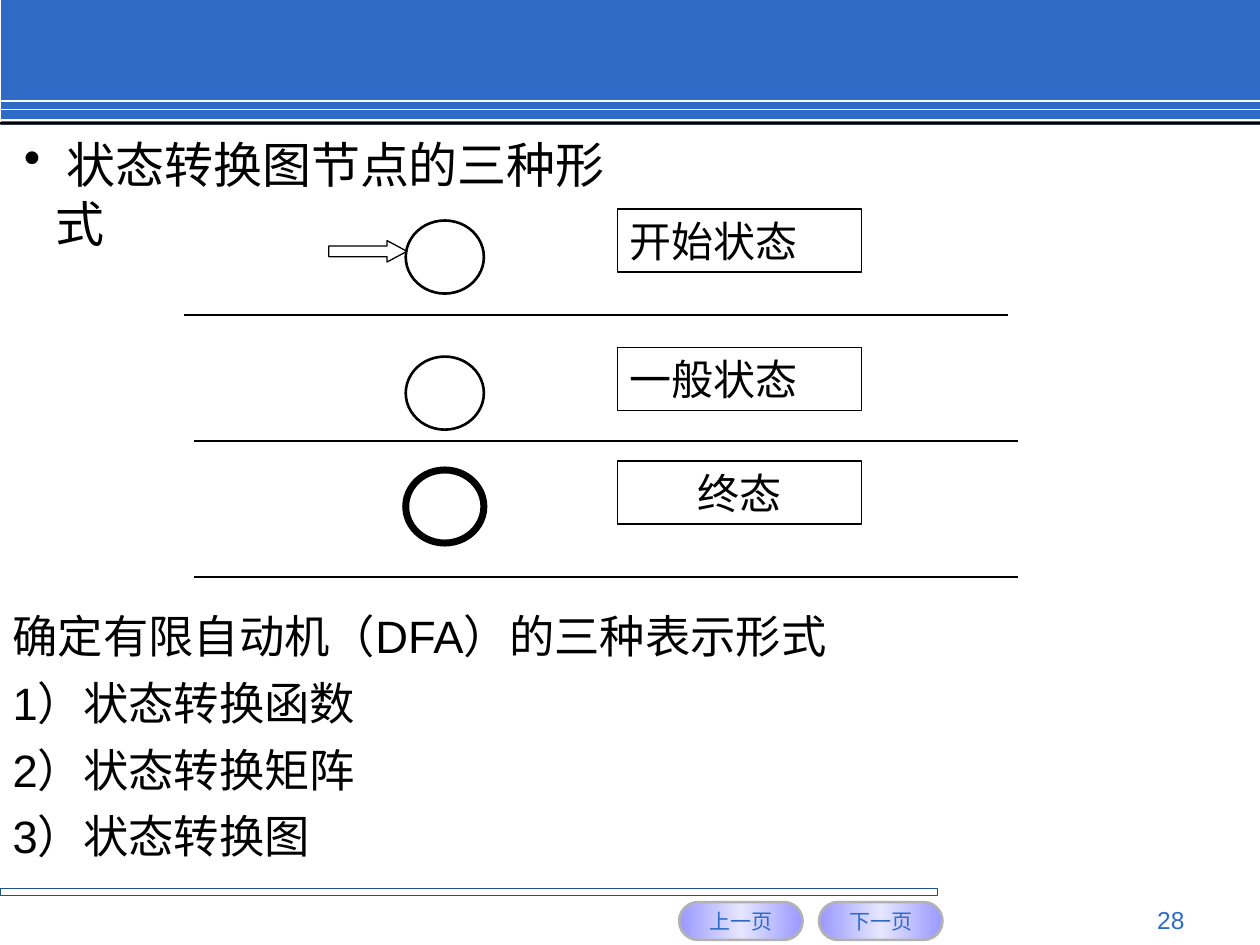
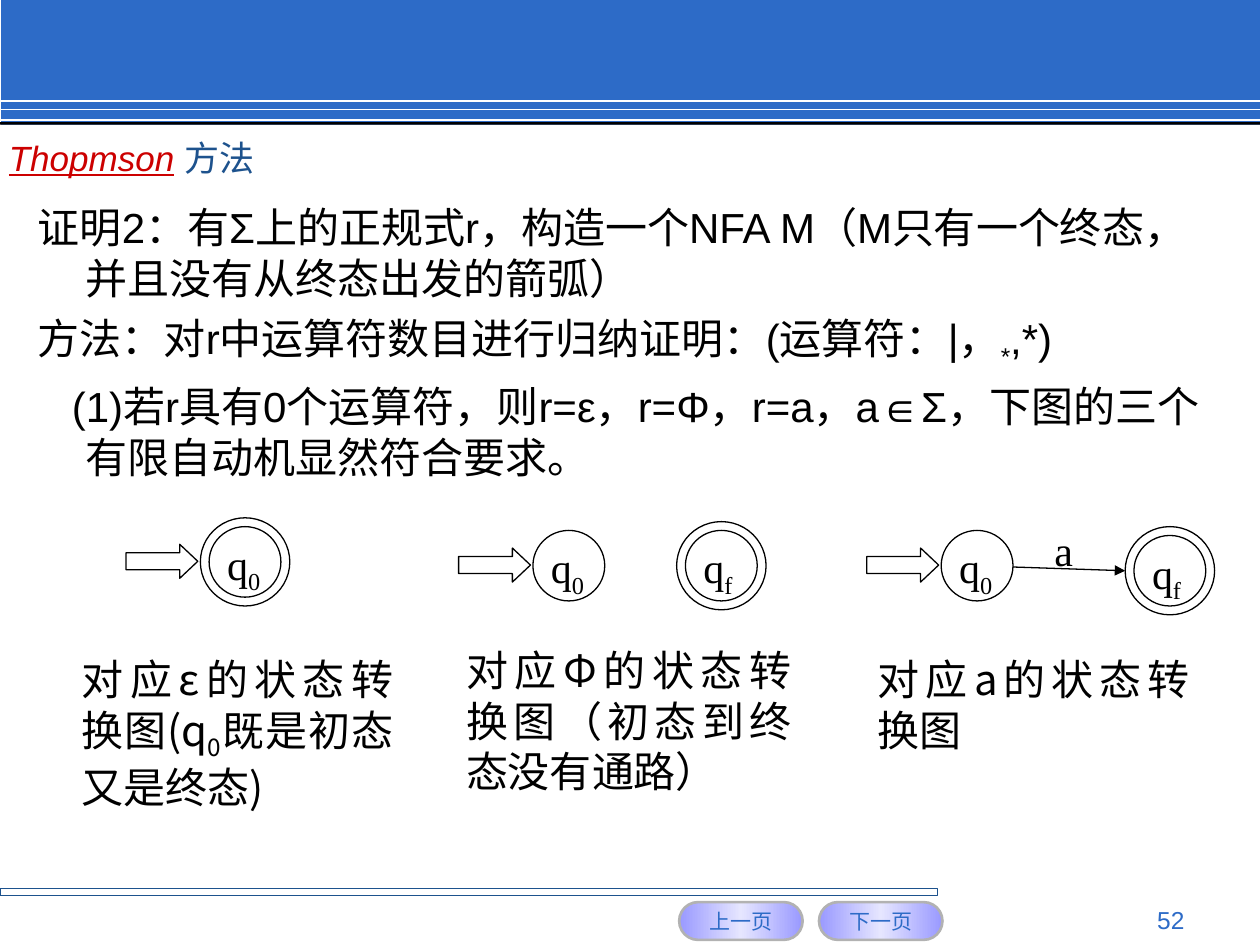
from dataclasses import dataclass
from copy import deepcopy

from lxml import etree
from pptx import Presentation
from pptx.dml.color import RGBColor
from pptx.enum.shapes import MSO_CONNECTOR, MSO_SHAPE
from pptx.enum.text import MSO_ANCHOR, MSO_AUTO_SIZE, PP_ALIGN
from pptx.oxml.ns import qn
from pptx.util import Inches, Pt

LEFT, CENTER, RIGHT, JUSTIFY = PP_ALIGN.LEFT, PP_ALIGN.CENTER, PP_ALIGN.RIGHT, PP_ALIGN.JUSTIFY
TOP, MIDDLE = MSO_ANCHOR.TOP, MSO_ANCHOR.MIDDLE
RECTANGLE, ELLIPSE = MSO_SHAPE.RECTANGLE, MSO_SHAPE.OVAL
ARROW, PILL = MSO_SHAPE.RIGHT_ARROW, MSO_SHAPE.ROUNDED_RECTANGLE


@dataclass(frozen=True)
class Theme:
    blue: str = "2D6BC7"
    dark_blue: str = "1D528D"
    red: str = "CC0000"
    black: str = "000000"
    white: str = "FFFFFF"
    button_edge: str = "B2B2B2"
    button_gradient: tuple = ("9999FF", "E6E6FF", "9999FF")
    sans: str = "Arial"
    serif: str = "Times New Roman"
    cjk: str = "Noto Sans CJK SC"
    button_size: float = 12
    number_size: float = 14
    method_size: float = 20
    text_size: float = 24
    list_size: float = 25.9
    title_size: float = 28
    thin: float = 0.75


THEME = Theme()
SUBSCRIPT = {"baseline": -25000}
CJK = {"name": THEME.cjk}
HANGING = (0.38, -0.38)

STATE_TITLE = [" 状态转换图节点的三种形式"]
STATE_ROWS = [
    ("开始状态", LEFT, 1.75, 1.66, 1.46, 2.5, 1.5),
    ("一般状态", LEFT, 2.83, 2.76, 1.54, 3.5, 1.5),
    ("终态", CENTER, 3.73, 3.66, 1.54, 4.58, 4),
]
DFA_FORMS = [
    "确定有限自动机（DFA）的三种表示形式",
    "1）状态转换函数",
    "2）状态转换矩阵",
    "3）状态转换图",
]

METHOD_TITLE = [[
    ("Thopmson", {"color": THEME.red, "italic": True, "underline": True}),
    (" 方法", {"color": THEME.dark_blue}),
]]
PROOF = [
    "证明2：有Σ上的正规式r，构造一个NFA M（M只有一个终态，并且没有从终态出发的箭弧）",
    [("方法：对r中运算符数目进行归纳证明：(运算符：|，", {}), ("*", SUBSCRIPT), (",*)", {})],
    "(1)若r具有0个运算符，则r=ε，r=Φ，r=a，a∈Σ，下图的三个有限自动机显然符合要求。",
]
PROOF_INDENTS = [HANGING, HANGING, (0.38, -0.11)]
STATES = [
    ("0", 1.66, 4.18, True, True),
    ("0", 4.23, 4.21, True, False),
    ("f", 5.44, 4.21, False, True),
    ("0", 7.47, 4.21, True, False),
    ("f", 9, 4.25, False, True),
]
CAPTIONS = [
    ((0.55, 5.14, 2.67, 0.77),
     [("对应", {}), ("ε的状态转换图(q", CJK), ("0", CJK | SUBSCRIPT), ("既是初态又是终态)", CJK)]),
    ((3.6, 5.07, 2.78, 0.84),
     [("对应", {}), ("Φ的状态转换图（初态到终态没有通路）", CJK)]),
    ((6.87, 5.14, 2.67, 0.5), [("对应", {}), ("a的状态转换图", CJK)]),
]


def rgb(color):
    return RGBColor.from_string(color)


def place(shape, at):
    shape.left, shape.top, shape.width, shape.height = map(Inches, at)


def style_span(span, style):
    for key, value in style.items():
        if key == "baseline":
            span._r.get_or_add_rPr().set("baseline", str(value))
        elif key == "color":
            span.font.color.rgb = rgb(value)
        else:
            setattr(span.font, key, value)


def write(shape, paragraphs, size, color=THEME.black, font=THEME.sans, align=LEFT,
          anchor=TOP, wrap=True, gap=0, indents=None, bullet=None, inset=(0.1, 0.05)):
    frame = shape.text_frame
    frame.auto_size = MSO_AUTO_SIZE.NONE
    frame.word_wrap = wrap
    frame.vertical_anchor = anchor
    frame.margin_left = frame.margin_right = Inches(inset[0])
    frame.margin_top = frame.margin_bottom = Inches(inset[1])
    for index, spans in enumerate(paragraphs):
        para = frame.add_paragraph() if index else frame.paragraphs[0]
        para.alignment = align
        para.space_before = Pt(gap if index else 0)
        margin, first = indents[index] if indents else (0, 0)
        properties = para._p.get_or_add_pPr()
        properties.set("marL", str(Inches(margin)))
        properties.set("indent", str(Inches(first)))
        if bullet:
            etree.SubElement(properties, qn("a:buChar")).set("char", bullet)
        else:
            etree.SubElement(properties, qn("a:buNone"))
        para.font.size = Pt(size)
        para.font.name = font
        para.font.color.rgb = rgb(color)
        for text, style in [(spans, {})] if isinstance(spans, str) else spans:
            span = para.add_run()
            span.text = text
            style_span(span, style)


def add_box(page, kind, at, fill=None, line=None, width=THEME.thin):
    box = page.shapes.add_shape(kind, *map(Inches, at))
    box.shadow.inherit = False
    if fill:
        box.fill.solid()
        box.fill.fore_color.rgb = rgb(fill)
    else:
        box.fill.background()
    if line:
        box.line.color.rgb = rgb(line)
        box.line.width = Pt(width)
    else:
        box.line.fill.background()
    return box


def add_text(page, at, paragraphs, size, **options):
    box = page.shapes.add_textbox(*map(Inches, at))
    write(box, paragraphs, size, **options)


def add_line(page, start, end, color=THEME.black, width=THEME.thin, arrow=False):
    line = page.shapes.add_connector(MSO_CONNECTOR.STRAIGHT, *map(Inches, start + end))
    line.line.color.rgb = rgb(color)
    line.line.width = Pt(width)
    if arrow:
        etree.SubElement(line.line._get_or_add_ln(), qn("a:tailEnd")).set("type", "triangle")
    etree.SubElement(line._element.spPr, qn("a:effectLst"))


def add_button(page, left, label):
    button = add_box(page, PILL, (left, 7.16, 0.98, 0.3), line=THEME.button_edge, width=1.5)
    button.adjustments[0] = 0.5
    button.fill.gradient()
    button.fill.gradient_angle = 0
    stops = button._element.spPr.find(qn("a:gradFill")).find(qn("a:gsLst"))
    stops.append(deepcopy(stops[-1]))
    for index, (stop, color) in enumerate(zip(button.fill.gradient_stops, THEME.button_gradient)):
        stop.position = index / 2
        stop.color.rgb = rgb(color)
    write(button, [label], THEME.button_size, THEME.blue, align=CENTER, anchor=MIDDLE, wrap=False)


def add_page(deck, number):
    page = deck.slides.add_slide(deck.slide_layouts[1])
    add_box(page, RECTANGLE, (0.01, 0, 9.99, 0.99), fill=THEME.blue)
    for y in (0.8, 0.87, 0.95):
        add_line(page, (0, y), (10, y), THEME.white, 1)
    add_box(page, RECTANGLE, (0, 0.97, 10, 0.02), fill=THEME.black)
    add_box(page, RECTANGLE, (0, 7.05, 7.44, 0.06), line=THEME.dark_blue)
    add_button(page, 5.39, "上一页")
    add_button(page, 6.5, "下一页")
    add_text(page, (7.17, 7.13, 2.33, 0.27), [str(number)], THEME.number_size,
             color=THEME.blue, align=RIGHT)
    return page


def add_start_arrow(page, at, head, fill=None):
    arrow = add_box(page, ARROW, at, fill, THEME.black)
    arrow.adjustments[1] = head


def add_state(page, subscript, left, top, starts, accepts):
    edge = left
    if accepts:
        edge = left - 0.07
        add_box(page, ELLIPSE, (edge, top - 0.07, 0.71, 0.7), THEME.white, THEME.black)
    circle = add_box(page, ELLIPSE, (left, top, 0.57, 0.56), THEME.white, THEME.black)
    write(circle, [[("q", {}), (subscript, SUBSCRIPT)]], THEME.text_size, font=THEME.serif,
          align=JUSTIFY, inset=(0.06, 0.01))
    if starts:
        add_start_arrow(page, (edge - 0.59, top + 0.14, 0.57, 0.27), 0.53, THEME.white)


def build_states_page(deck):
    page = add_page(deck, 28)
    title, body = page.shapes.title, page.placeholders[1]
    place(title, (0.09, 1.02, 5.08, 0.57))
    write(title, STATE_TITLE, THEME.title_size, indents=[(0.25, -0.25)], bullet="•")
    place(body, (0, 4.78, 10, 2.19))
    write(body, DFA_FORMS, THEME.list_size, gap=7, indents=[HANGING] * len(DFA_FORMS))
    for label, align, circle_top, box_top, line_left, line_y, weight in STATE_ROWS:
        add_box(page, ELLIPSE, (3.22, circle_top, 0.62, 0.58), line=THEME.black, width=weight)
        box = add_box(page, RECTANGLE, (4.9, box_top, 1.94, 0.5), line=THEME.black)
        write(box, [label], THEME.text_size, align=align)
        add_line(page, (line_left, line_y), (line_left + 6.54, line_y))
    add_start_arrow(page, (2.61, 1.91, 0.62, 0.17), 0.93)


def build_method_page(deck):
    page = add_page(deck, 52)
    title, body = page.shapes.title, page.placeholders[1]
    place(title, (-0.03, 1.03, 2.4, 0.44))
    write(title, METHOD_TITLE, THEME.method_size)
    place(body, (0.2, 1.55, 9.57, 2.24))
    write(body, PROOF, THEME.text_size, gap=6, indents=PROOF_INDENTS)
    for state in STATES:
        add_state(page, *state)
    add_line(page, (8.04, 4.5), (8.93, 4.53), arrow=True)
    add_text(page, (8.27, 4.11, 0.48, 0.47), ["a"], THEME.text_size,
             font=THEME.serif, align=JUSTIFY)
    for at, spans in CAPTIONS:
        add_text(page, at, [spans], THEME.text_size, font=THEME.serif, align=JUSTIFY)


def main():
    deck = Presentation()
    deck.slide_width, deck.slide_height = Inches(10), Inches(7.5)
    build_states_page(deck)
    build_method_page(deck)
    deck.save("out.pptx")


if __name__ == "__main__":
    main()
